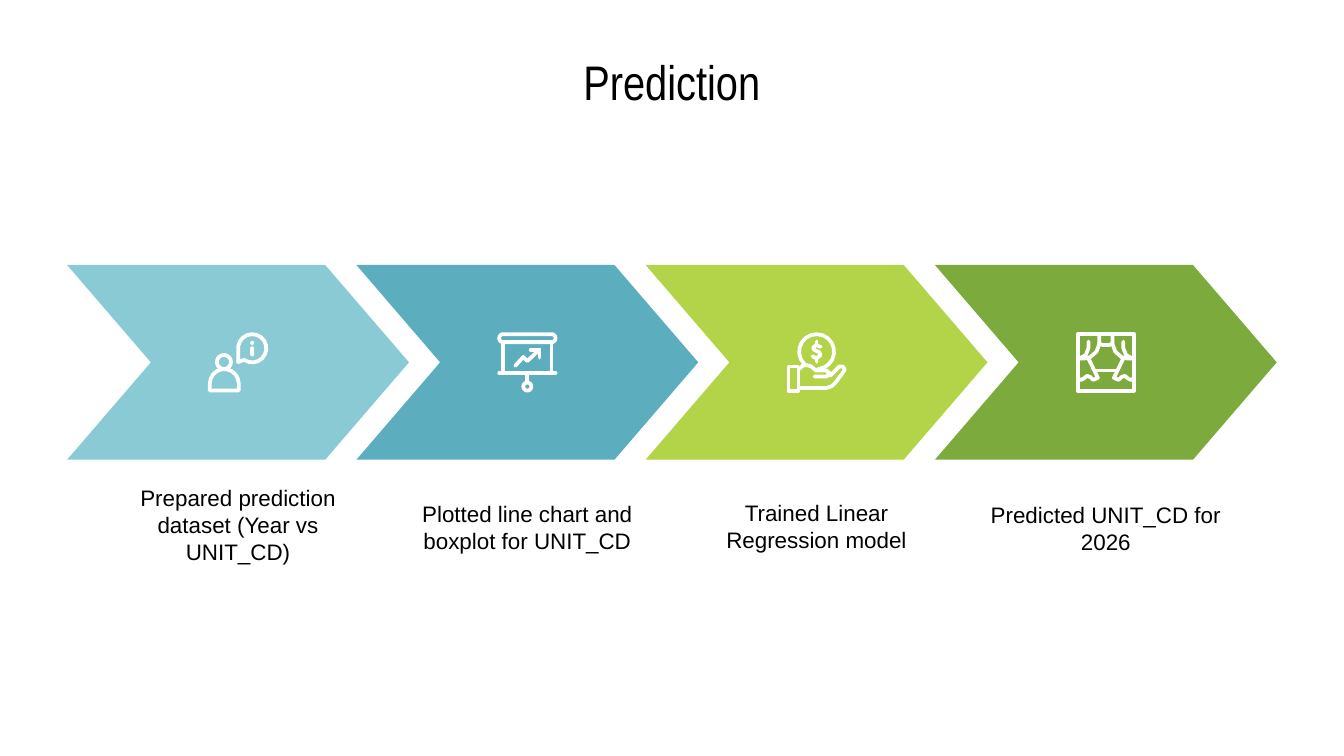
import math

from lxml import etree
from pptx import Presentation
from pptx import util as u
from pptx.dml.color import RGBColor
from pptx.enum import shapes, text
from pptx.oxml.ns import qn

Shape = shapes.MSO_SHAPE
WHITE, BLACK = "FFFFFF", "000000"
GRID = 0.0254  # cm per icon grid unit
ICON_SIDE = 45 * GRID


def color(value):
    return RGBColor.from_string(value)


def add_text(slide, content, left, top, width, height, font, size):
    box = slide.shapes.add_textbox(u.Cm(left), u.Cm(top), u.Cm(width), u.Cm(height))
    frame = box.text_frame
    frame.word_wrap = True
    frame.vertical_anchor = text.MSO_ANCHOR.MIDDLE
    frame.margin_left = frame.margin_right = u.Cm(0.25)
    frame.margin_top = frame.margin_bottom = u.Cm(0.25)
    frame.text = content
    para = frame.paragraphs[0]
    para.alignment = text.PP_ALIGN.CENTER
    span = para.runs[0]
    span.font.name, span.font.size = font, u.Pt(size)
    span.font.color.rgb = color(BLACK)


def fill_shape(shape, value):
    shape.shadow.inherit = False
    shape.fill.solid()
    shape.fill.fore_color.rgb = color(value)
    shape.line.fill.background()


def arc(x, y, radius, start=0, end=360):
    """Points along a circle, clockwise, with angles in degrees."""
    count = max(4, round((end - start) / 20))
    angles = [math.radians(start + (end - start) * i / count) for i in range(count + 1)]
    return [(x + radius * math.cos(a), y + radius * math.sin(a)) for a in angles]


def closed(points):
    return points + points[:1]


def box_outline(left, top, right, bottom):
    return closed([(left, top), (right, top), (right, bottom), (left, bottom)])


class Icon:
    """Draws white line art on a 45-unit grid whose corner is given in cm."""

    def __init__(self, slide, left, top):
        self.shapes, self.left, self.top = slide.shapes, left, top

    def point(self, x, y):
        return u.Cm(self.left + x * GRID), u.Cm(self.top + y * GRID)

    def strokes(self, *contours):
        """Joins several strokes into one round-ended outline."""
        builder = self.shapes.build_freeform(*self.point(*contours[0][0]))
        for index, contour in enumerate(contours):
            start, *rest = [self.point(x, y) for x, y in contour]
            if index:
                builder.move_to(*start)
            builder.add_line_segments(rest, close=contour[0] == contour[-1])
        shape = builder.convert_to_shape()
        shape.shadow.inherit = False
        shape.fill.background()
        shape.line.color.rgb = color(WHITE)
        shape.line.width = u.Pt(2)
        line = shape.element.spPr.find(qn("a:ln"))
        line.set("cap", "rnd")
        etree.SubElement(line, qn("a:round"))

    def solid(self, kind, x, y, width, height):
        shape = self.shapes.add_shape(
            kind, *self.point(x, y), u.Cm(width * GRID), u.Cm(height * GRID))
        if kind == Shape.ROUNDED_RECTANGLE:
            shape.adjustments[0] = 0.5
        fill_shape(shape, WHITE)


def draw_informed_person(icon):
    head = closed(arc(12, 22.25, 5.25)[:-1])
    body = closed(arc(12.25, 38.25, 10.75, 180, 360) + [(23, 43.5), (1.5, 43.5)])
    icon.strokes(head, body)
    icon.strokes(closed(arc(33, 12, 10.5, 170, 485) + [(22.5, 22.3)]))
    icon.solid(Shape.OVAL, 31.5, 6.5, 3, 3)
    icon.solid(Shape.ROUNDED_RECTANGLE, 31.5, 10.5, 3, 7.5)


def draw_chart_screen(icon):
    roller = closed(arc(4.5, 4.5, 3, 90, 270) + arc(40.5, 4.5, 3, -90, 90))
    icon.strokes(
        roller,
        box_outline(4.5, 7.5, 40.5, 30.5),
        [(1.5, 30.5), (43.5, 30.5)],
        [(22.5, 30.5), (22.5, 37.5)],
        closed(arc(22.5, 40.5, 3)[:-1]))
    icon.strokes(
        [(13.5, 25), (19.5, 18.5), (22.5, 21.5), (31.5, 13)],
        [(25, 13), (31.5, 13), (31.5, 19)])


def draw_coin_in_hand(icon):
    icon.strokes(
        arc(22.5, 14.5, 13, 135, 445),
        box_outline(1.5, 25.5, 9, 43.5),
        [(9.5, 27.5), (12, 25), (15, 24.5), (18.5, 25.5), (22, 28.5),
         (30, 28.5), (32, 30.5), (30, 33), (21, 33)],
        [(32.5, 32.5), (39.5, 25.5), (42, 25.5), (43.5, 28), (37, 37),
         (34, 40), (30, 41.5), (9.5, 41.5)])
    icon.strokes(
        [(25.5, 11), (22.5, 9.5), (20, 11.5), (20.5, 13), (24.5, 15),
         (25.5, 17), (22.5, 19.5), (19.5, 18)],
        [(22.5, 7), (22.5, 9.5)],
        [(22.5, 19.5), (22.5, 22)])


def draw_stage(icon):
    curtain = [
        [(17.5, 1.5), (17.5, 9), (15.5, 14.5), (11, 18.5), (7, 19.5), (1.5, 19.5)],
        [(9.5, 7), (9.5, 12), (7.5, 17), (3, 19.5)],
        [(9.5, 19.5), (16.5, 34), (13, 35.5), (11, 33.5), (8.5, 32.5),
         (6, 34.5), (4, 35.5), (1.5, 34.5)],
    ]
    mirrored = [[(45 - x, y) for x, y in fold] for fold in curtain]
    icon.strokes(
        box_outline(1.5, 1.5, 43.5, 43.5),
        [(17.5, 8.5), (20, 9.5), (25, 9.5), (27.5, 8.5)],
        [(14, 28.5), (31, 28.5)],
        *curtain, *mirrored)


def add_step(slide, left, top, width, height, fill, caption, caption_gap, draw_icon):
    chevron = slide.shapes.add_shape(
        Shape.CHEVRON, u.Cm(left), u.Cm(top), u.Cm(width), u.Cm(height))
    chevron.adjustments[0] = 0.43
    fill_shape(chevron, fill)
    draw_icon(Icon(slide, left + (width - ICON_SIDE) / 2,
                   top + (height - ICON_SIDE) / 2))
    caption_width = 4.9
    add_text(slide, caption, left + (width - caption_width) / 2,
             top + height + caption_gap, caption_width, 1.42, "Arial", 12)


def add_process(slide, left, top, width, height, steps):
    step_width = 6.46
    pitch = (width - step_width) / (len(steps) - 1)
    for index, step in enumerate(steps):
        add_step(slide, left + index * pitch, top, step_width, height, *step)


def main():
    deck = Presentation()
    deck.slide_width, deck.slide_height = u.Cm(25.4), u.Cm(14.29)
    slide = deck.slides.add_slide(deck.slide_layouts[6])
    add_text(slide, "Prediction", 1.27, 1.12, 22.86, 0.81, "Arial Narrow", 26)
    add_process(slide, 1.27, 5.01, 22.86, 3.68, [
        ("8ACAD4", "Prepared prediction dataset (Year vs UNIT_CD)", 0.51,
         draw_informed_person),
        ("5CADBD", "Plotted line chart and boxplot for UNIT_CD", 0.57,
         draw_chart_screen),
        ("B3D349", "Trained Linear Regression model", 0.55, draw_coin_in_hand),
        ("7CAA3D", "Predicted UNIT_CD for 2026", 0.59, draw_stage),
    ])
    deck.save("out.pptx")


if __name__ == "__main__":
    main()
